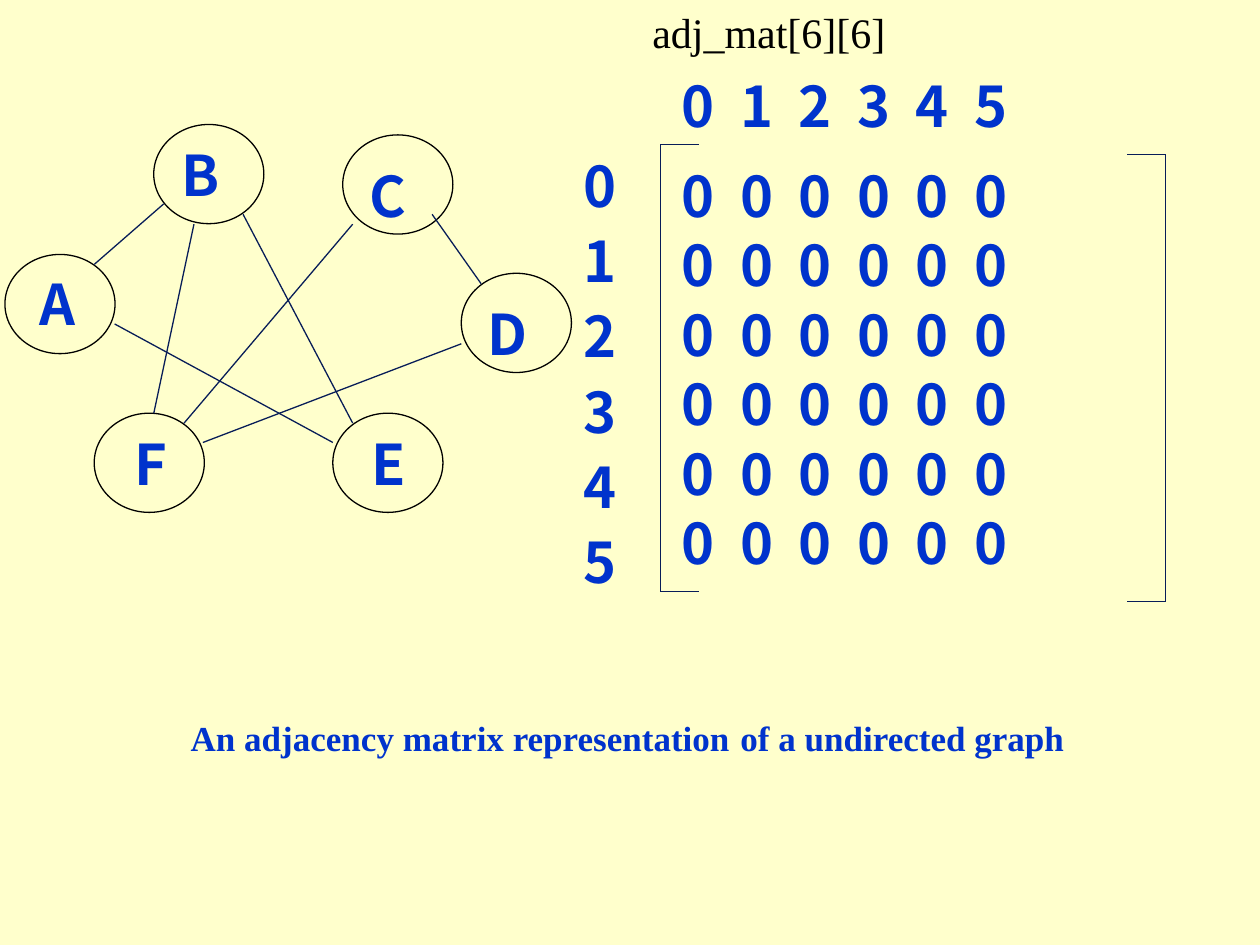
from lxml.etree import SubElement
from pptx import Presentation
from pptx.dml.color import RGBColor
from pptx.enum.shapes import MSO_CONNECTOR, MSO_SHAPE
from pptx.enum.text import MSO_AUTO_SIZE, PP_ALIGN
from pptx.oxml.ns import qn
from pptx.util import Cm, Pt

BLUE, NAVY, BLACK, CREAM = "0033CC", "081D58", "000000", "FFFFCC"
SERIF = "Times New Roman"
LABEL = {"name": "Noto Sans CJK SC", "size": Pt(32), "bold": True}
HEADING = {"name": SERIF, "size": Pt(24)}
CAPTION = {"name": SERIF, "size": Pt(20), "bold": True}
CAPTION_GAP = {"name": SERIF, "size": Pt(24), "bold": True}
LOOSE = {"line_spacing": 1.3, "space_before": Pt(20)}
TIGHT = {"line_spacing": 0.6, "space_before": Pt(20)}
CENTERED = {"alignment": PP_ALIGN.CENTER}
COLUMN_PITCH, ROW_PITCH = 1.18, 1.4
VERTICES = 6

NODES = {
    "A": ((0.1, 5.13), (-1.02, 4.9)),
    "B": ((3.1, 2.51), (1.85, 2.31)),
    "C": ((6.91, 2.72), (5.64, 2.72)),
    "D": ((9.3, 5.51), (8.05, 5.51)),
    "E": ((6.71, 8.33), (5.66, 8.13)),
    "F": ((1.9, 8.33), (0.86, 8.13)),
}
EDGES = {
    "AB": (1.9, 5.33, 3.3, 4.11),
    "BF": (3.91, 4.52, 3.1, 8.33),
    "BE": (4.9, 4.32, 7.11, 8.53),
    "CF": (7.11, 4.52, 3.71, 8.53),
    "DF": (9.3, 6.93, 4.09, 8.92),
    "AE": (2.31, 6.53, 6.71, 8.92),
    "CD": (8.71, 4.32, 9.7, 5.72),
}


def color(hex_value):
    """Return the colour for a hex string."""
    return RGBColor.from_string(hex_value)


def set_format(target, values):
    """Set each attribute in values on the target."""
    for name, value in values.items():
        setattr(target, name, value)


def add_run(paragraph, text, font, hex_value):
    """Append a formatted run to a paragraph."""
    run = paragraph.add_run()
    run.text = text
    set_format(run.font, font)
    run.font.color.rgb = color(hex_value)


def add_text(slide, box, lines, font, hex_value, layout, wrap=False):
    """Add a text box with one paragraph per line and return its paragraphs."""
    frame = slide.shapes.add_textbox(*map(Cm, box)).text_frame
    set_format(frame, {"word_wrap": wrap,
                       "auto_size": MSO_AUTO_SIZE.SHAPE_TO_FIT_TEXT})
    for index, line in enumerate(lines):
        paragraph = frame.add_paragraph() if index else frame.paragraphs[0]
        set_format(paragraph, layout)
        add_run(paragraph, line, font, hex_value)
    return frame.paragraphs


def add_row(slide, top, values):
    """Add one matrix row with its values on evenly spaced tab stops."""
    paragraph = add_text(slide, (13.49, top, 9.8, 3.78), ["\t".join(values)],
                         LABEL, BLUE, LOOSE, wrap=True)[0]
    tabs = SubElement(paragraph._p.get_or_add_pPr(), qn("a:tabLst"))
    for column in range(1, len(values)):
        SubElement(tabs, qn("a:tab"), pos=str(Cm(COLUMN_PITCH * column)), algn="l")


def add_line(slide, *ends):
    """Add a thin navy line between two points."""
    line = slide.shapes.add_connector(MSO_CONNECTOR.STRAIGHT, *map(Cm, ends))
    line.line.color.rgb = color(NAVY)
    line.line.width = Pt(0.75)
    SubElement(line._element.spPr, qn("a:effectLst"))


def add_bracket(slide, spine, arm, top, bottom):
    """Add a square bracket from a spine and two arms."""
    add_line(slide, spine, top, spine, bottom)
    for height in (top, bottom):
        add_line(slide, spine, height, arm, height)


def add_node(slide, name, corner, label_corner):
    """Add a graph vertex with its letter."""
    oval = slide.shapes.add_shape(MSO_SHAPE.OVAL, *map(Cm, (*corner, 2.22, 2)))
    oval.shadow.inherit = False
    oval.fill.background()
    oval.line.color.rgb = color(BLACK)
    oval.line.width = Pt(0.75)
    add_text(slide, (*label_corner, 4.37, 2.03), [name], LABEL, BLUE,
             {**LOOSE, **CENTERED})


def add_graph(slide):
    """Add the undirected graph."""
    for name, corners in NODES.items():
        add_node(slide, name, *corners)
    for ends in EDGES.values():
        add_line(slide, *ends)


def add_matrix(slide):
    """Add the adjacency matrix with its headers and brackets."""
    indices = [str(index) for index in range(VERTICES)]
    add_text(slide, (12.9, 0, 5.21, 1.27), ["adj_mat[6][6]"], HEADING, BLACK, {})
    add_row(slide, 0.91, indices)
    add_text(slide, (11.51, 3.4, 1.6, 8.66), indices, LABEL, BLUE, TIGHT, wrap=True)
    for row in range(VERTICES):
        add_row(slide, 2.72 + ROW_PITCH * row, ["0"] * VERTICES)
    add_bracket(slide, 13.31, 14.1, 2.92, 11.92)
    add_bracket(slide, 23.5, 22.71, 3.12, 12.12)


def add_caption(slide):
    """Add the caption below the graph and matrix."""
    paragraph = add_text(slide, (1.98, 14.17, 21.34, 1.27),
                         ["An adjacency matrix representation"],
                         CAPTION, BLUE, CENTERED)[0]
    add_run(paragraph, " ", CAPTION_GAP, BLACK)
    add_run(paragraph, "of a undirected graph", CAPTION, BLUE)


def main():
    """Build and save the presentation."""
    presentation = Presentation()
    set_format(presentation, {"slide_width": Cm(25.4), "slide_height": Cm(19.05)})
    slide = presentation.slides.add_slide(presentation.slide_layouts[6])
    slide.background.fill.solid()
    slide.background.fill.fore_color.rgb = color(CREAM)
    add_graph(slide)
    add_matrix(slide)
    add_caption(slide)
    presentation.save("out.pptx")


if __name__ == "__main__":
    main()
